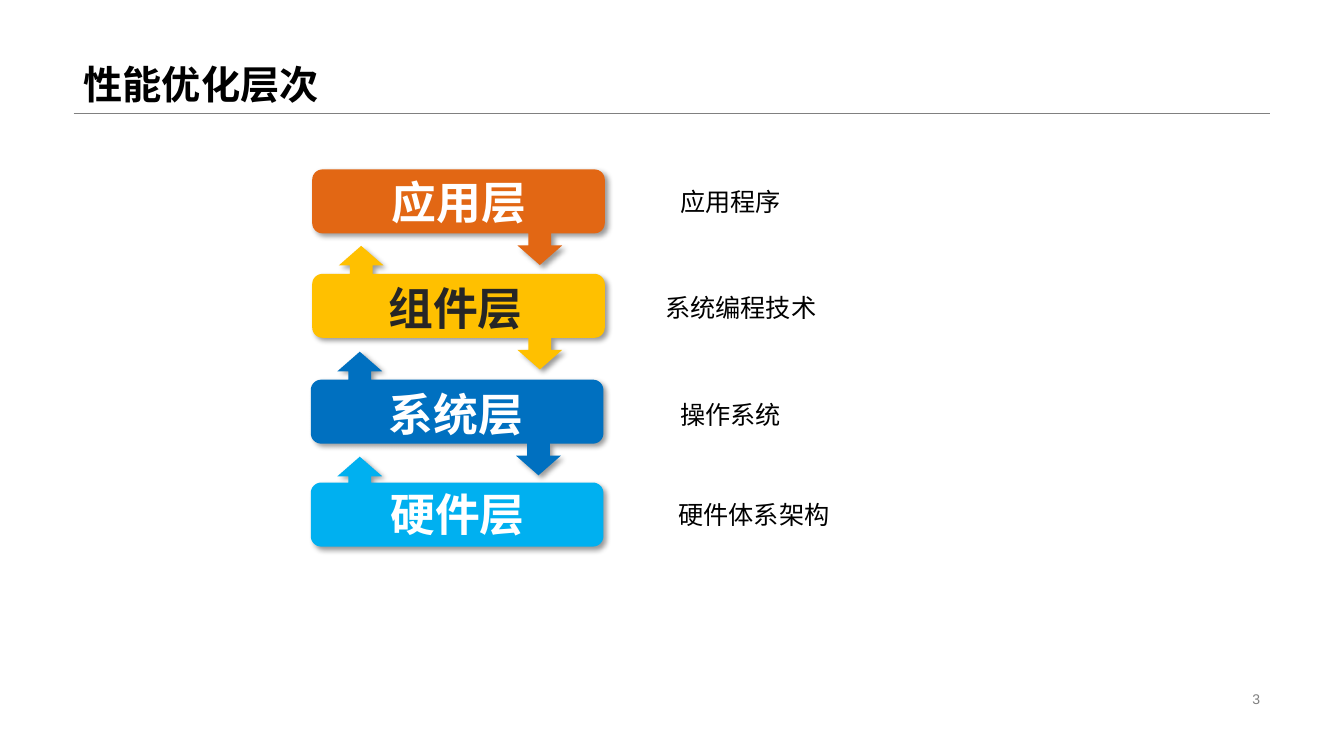
from math import cos, radians, sin

from lxml.etree import SubElement
from pptx import Presentation
from pptx.dml.color import RGBColor
from pptx.enum.text import MSO_ANCHOR as Anchor, PP_ALIGN as Align
from pptx.oxml.ns import qn
from pptx.util import Pt

TITLE = "性能优化层次"
PAGE_NUMBER = "3"
# caption, fill, caption colour, body left and top, caption centre and top,
# stem lengths of the up and down arrows (None: no arrow)
LAYERS = [
    ("应用层", "orange", "white", (223, 121), (328, 121), None, 8.6),
    ("组件层", "yellow", "dark", (223, 195.6), (325.4, 196.6), 6, 8.6),
    ("系统层", "blue", "white", (222, 271.2), (325.8, 272.9), 6, 8.6),
    ("硬件层", "sky", "white", (222, 344.7), (326.9, 344.2), 4.5, None),
]
# text, left, top
EXAMPLES = [
    ("应用程序", 478.8, 129.6),
    ("系统编程技术", 468, 205.2),
    ("操作系统", 478.8, 281.5),
    ("硬件体系架构", 477.4, 352.8),
]
COLORS = {
    "orange": "E26714", "yellow": "FFC000", "blue": "0070C0", "sky": "00B0F0",
    "white": "FFFFFF", "dark": "262626", "black": "000000", "gray": "808080",
}
LATIN, CJK = "Arial", "Noto Sans CJK SC"
BODY_W, BODY_H, RADIUS = 209, 45.7, 7.4
UP_X, DOWN_X = 35, 162.6
STEM_HALF, HEAD_HALF, HEAD_H = 8.1, 16, 14
CAPTION_W, CAPTION_H = 193, 46
EXAMPLE_SIZE, INSETS = 18, 14.4
RULE_LEFT, RULE_RIGHT, RULE_Y = 52.6, 907.2, 80.9


def rgb(name):
    return RGBColor.from_string(COLORS[name])


def style(paragraph, size, color, bold=False, font=LATIN, align=Align.LEFT):
    paragraph.alignment = align
    face = paragraph.font
    face.size, face.bold, face.name = Pt(size), bold, font
    face.color.rgb = rgb(color)
    east_asian = SubElement(paragraph._p.pPr.find(qn("a:defRPr")), qn("a:ea"))
    east_asian.set("typeface", CJK)


def add_text(slide, text, box, wrap=True, anchor=Anchor.TOP, **look):
    label = slide.shapes.add_textbox(*map(Pt, box))
    frame = label.text_frame
    frame.word_wrap, frame.vertical_anchor = wrap, anchor
    frame.text = text
    style(frame.paragraphs[0], **look)
    return label


def corner(x, y, start):
    """Points of a clockwise quarter circle around x, y."""
    angles = [radians(start + step * 11.25) for step in range(9)]
    return [(x + RADIUS * cos(a), y + RADIUS * sin(a)) for a in angles]


def arrow(x, base, stem, direction):
    """Outline of an arrow, from one foot of its stem to the other.

    direction is -1 for an arrow up and 1 for an arrow down.
    """
    neck = base + direction * stem
    tip = neck + direction * HEAD_H
    side = [(STEM_HALF, base), (STEM_HALF, neck), (HEAD_HALF, neck)]
    first = [(x + direction * dx, y) for dx, y in side]
    last = [(x - direction * dx, y) for dx, y in reversed(side)]
    return first + [(x, tip)] + last


def layer_outline(left, top, up_stem, down_stem):
    right, bottom = left + BODY_W, top + BODY_H
    points = corner(left + RADIUS, top + RADIUS, 180)
    if up_stem is not None:
        points += arrow(left + UP_X, top, up_stem, -1)
    points += corner(right - RADIUS, top + RADIUS, 270)
    points += corner(right - RADIUS, bottom - RADIUS, 0)
    if down_stem is not None:
        points += arrow(left + DOWN_X, bottom, down_stem, 1)
    return points + corner(left + RADIUS, bottom - RADIUS, 90)


def add_shadow(shape):
    shape.shadow.inherit = False
    effects = shape._element.spPr.find(qn("a:effectLst"))
    shadow = SubElement(effects, qn("a:outerShdw"), blurRad=str(Pt(4)),
                        dist=str(Pt(3)), dir="2700000", algn="tl",
                        rotWithShape="0")
    shade = SubElement(shadow, qn("a:srgbClr"), val=COLORS["black"])
    SubElement(shade, qn("a:alpha"), val="40000")


def add_layer(slide, caption, fill, color, body, caption_at, up_stem, down_stem):
    points = [(Pt(x), Pt(y)) for x, y in
              layer_outline(*body, up_stem, down_stem)]
    builder = slide.shapes.build_freeform(*points[0])
    builder.add_line_segments(points[1:], close=True)
    block = builder.convert_to_shape()
    block.fill.solid()
    block.fill.fore_color.rgb = rgb(fill)
    block.line.fill.background()
    add_shadow(block)
    center, top = caption_at
    add_text(slide, caption,
             (center - CAPTION_W / 2, top, CAPTION_W, CAPTION_H),
             size=32, color=color, bold=True, font=CJK, align=Align.CENTER)


def add_heading(slide):
    rule = slide.shapes.add_connector(
        1, Pt(RULE_LEFT), Pt(RULE_Y), Pt(RULE_RIGHT), Pt(RULE_Y))
    rule.line.color.rgb, rule.line.width = rgb("gray"), Pt(0.25)
    SubElement(rule._element.spPr, qn("a:effectLst"))
    title = slide.shapes.title
    title.left, title.top = Pt(RULE_LEFT), Pt(0)
    title.width, title.height = Pt(RULE_RIGHT - RULE_LEFT), Pt(RULE_Y)
    title.text_frame.text = TITLE
    title.text_frame.vertical_anchor = Anchor.BOTTOM
    heading = title.text_frame.paragraphs[0]
    heading.line_spacing = 0.9
    style(heading, 28, "black", bold=True)


def main():
    deck = Presentation()
    deck.slide_width, deck.slide_height = Pt(960), Pt(540)
    slide = deck.slides.add_slide(deck.slide_layouts[5])
    add_heading(slide)
    for layer in LAYERS:
        add_layer(slide, *layer)
    for text, left, top in EXAMPLES:
        width = len(text) * EXAMPLE_SIZE + INSETS
        add_text(slide, text, (left, top, width, 29), wrap=False,
                 size=EXAMPLE_SIZE, color="black")
    add_text(slide, PAGE_NUMBER, (678.2, 491, 229, 16.6), anchor=Anchor.MIDDLE,
             size=10, color="gray", align=Align.RIGHT)
    deck.save("out.pptx")


if __name__ == "__main__":
    main()
